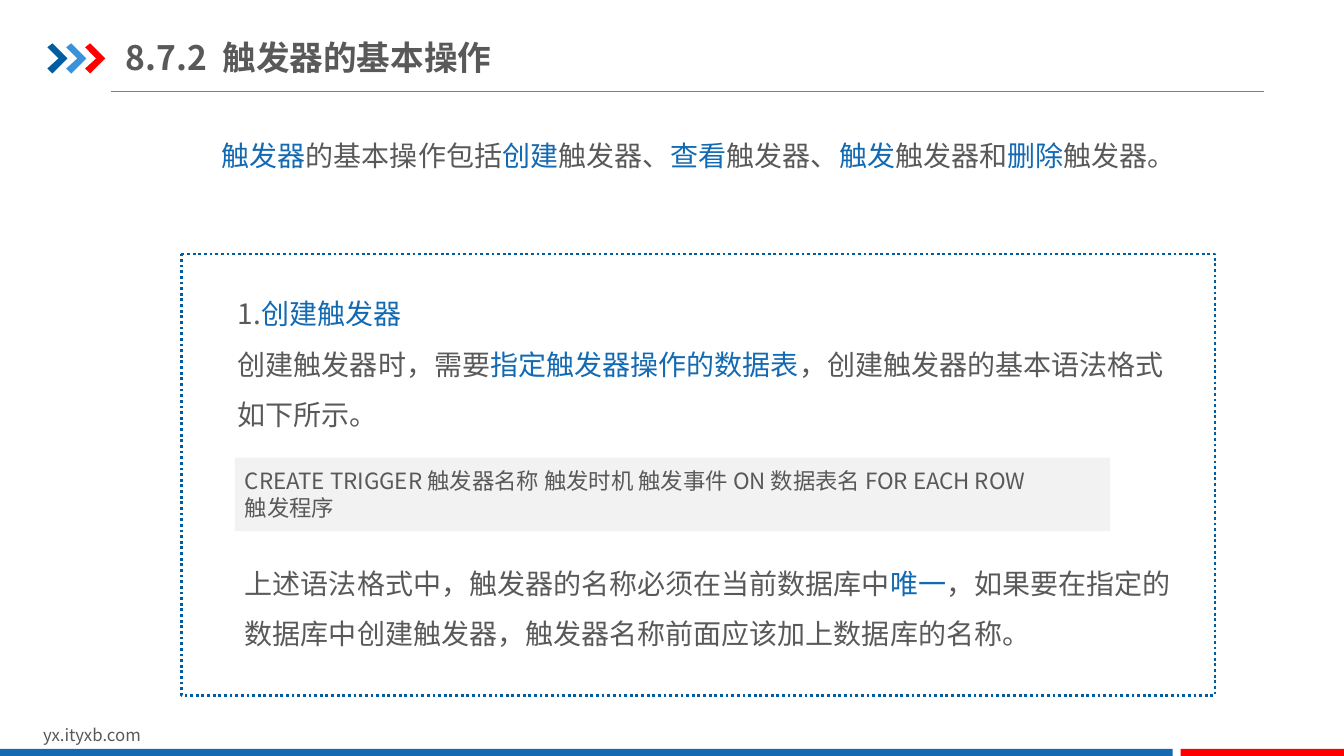
from lxml import etree
from pptx import Presentation
from pptx.dml.color import RGBColor
from pptx.enum.dml import MSO_LINE
from pptx.enum.shapes import MSO_CONNECTOR, MSO_SHAPE
from pptx.enum.text import MSO_ANCHOR, MSO_AUTO_SIZE, PP_ALIGN
from pptx.oxml.ns import qn
from pptx.util import Inches, Pt

FONT = "Noto Sans CJK SC"
COLORS = {
    "text": "595959",
    "blue": "1369B2",
    "deep_blue": "005DA2",
    "light_blue": "3992DB",
    "red": "FF0000",
    "rule": "808080",
    "code": "F2F2F2",
    "white": "FFFFFF",
}


def color(name):
    return RGBColor.from_string(COLORS[name])


def write(shape, lines, size, spacing=None, bold=None):
    """Fill a shape with lines; the parts between | marks are blue."""
    frame = shape.text_frame
    frame.word_wrap = True
    for number, line in enumerate(lines):
        paragraph = frame.add_paragraph() if number else frame.paragraphs[0]
        paragraph.alignment = PP_ALIGN.LEFT
        if spacing:
            paragraph.line_spacing = spacing
        for index, part in enumerate(line.split("|")):
            if not part:
                continue
            run = paragraph.add_run()
            run.text = part
            run.font.size = Pt(size)
            run.font.name = FONT
            run.font.bold = bold
            run.font.color.rgb = color("blue" if index % 2 else "text")
            east_asian = etree.Element(qn("a:ea"), typeface=FONT)
            run.font._element.find(qn("a:latin")).addnext(east_asian)


def add_text(slide, left, top, width, height, lines, size, spacing=None, bold=None):
    box = slide.shapes.add_textbox(
        Inches(left), Inches(top), Inches(width), Inches(height))
    write(box, lines, size, spacing, bold)
    return box


def add_box(slide, left, top, width, height, fill, kind=MSO_SHAPE.RECTANGLE):
    shape = slide.shapes.add_shape(
        kind, Inches(left), Inches(top), Inches(width), Inches(height))
    shape.shadow.inherit = False
    shape.fill.solid()
    shape.fill.fore_color.rgb = color(fill)
    shape.line.fill.background()
    return shape


def add_chevron(slide, left, fill):
    top = 0.43
    outline = [(0.05, 0), (0.2, 0.15), (0.05, 0.3), (0, 0.25), (0.11, 0.15)]
    builder = slide.shapes.build_freeform(
        Inches(left), Inches(top + 0.04), scale=1.0)
    builder.add_line_segments(
        [(Inches(left + x), Inches(top + y)) for x, y in outline], close=True)
    chevron = builder.convert_to_shape()
    chevron.shadow.inherit = False
    chevron.fill.solid()
    chevron.fill.fore_color.rgb = color(fill)
    chevron.line.fill.background()


def add_header(slide):
    rule = slide.shapes.add_connector(
        MSO_CONNECTOR.STRAIGHT, Inches(1.1), Inches(0.91), Inches(12.54), Inches(0.91))
    rule.line.color.rgb = color("rule")
    rule.line.width = Pt(0.75)
    etree.SubElement(rule._element.spPr, qn("a:effectLst"))

    for index, fill in enumerate(("deep_blue", "light_blue", "red")):
        add_chevron(slide, 0.47 + 0.187 * index, fill)

    title = add_text(slide, 1.25, 0.29, 4.26, 0.55,
                     ["8.7.2  触发器的基本操作"], 24, bold=True)
    frame = title.text_frame
    frame.vertical_anchor = MSO_ANCHOR.MIDDLE
    frame.margin_left = frame.margin_right = 0
    frame.margin_top = frame.margin_bottom = Inches(0.07)


def add_footer(slide):
    add_text(slide, 0.33, 7.14, 3.18, 0.3, ["yx.ityxb.com"], 12)
    add_box(slide, 0, 7.43, 11.63, 0.09, "blue")
    add_box(slide, 11.71, 7.43, 1.63, 0.09, "red")


def add_body_text(slide, left, top, width, height, lines):
    box = add_text(slide, left, top, width, height, lines, 20, spacing=1.5)
    box.text_frame.auto_size = MSO_AUTO_SIZE.SHAPE_TO_FIT_TEXT


def add_content(slide):
    panel = add_box(slide, 1.8, 2.52, 10.25, 4.38, "white",
                    MSO_SHAPE.FLOWCHART_PROCESS)
    panel.line.color.rgb = color("deep_blue")
    panel.line.width = Pt(2)
    panel.line.dash_style = MSO_LINE.ROUND_DOT

    add_body_text(slide, 2.1, 1.16, 9.48, 0.6, [
        "|触发器|的基本操作包括|创建|触发器、|查看|触发器、|触发|触发器和|删除|触发器。",
    ])
    add_body_text(slide, 2.26, 2.73, 9.65, 1.61, [
        "1.|创建触发器|",
        "创建触发器时，需要|指定触发器操作的数据表|，创建触发器的基本语法格式如下所示。",
    ])
    code = add_box(slide, 2.33, 4.54, 8.68, 0.73, "code")
    code.text_frame.vertical_anchor = MSO_ANCHOR.MIDDLE
    write(code, [
        "CREATE TRIGGER 触发器名称 触发时机 触发事件 ON 数据表名 FOR EACH ROW",
        "触发程序",
    ], 16)
    add_body_text(slide, 2.33, 5.4, 9.65, 1.11, [
        "上述语法格式中，触发器的名称必须在当前数据库中|唯一|，"
        "如果要在指定的数据库中创建触发器，触发器名称前面应该加上数据库的名称。",
    ])


def main():
    presentation = Presentation()
    presentation.slide_width = Inches(13.33)
    presentation.slide_height = Inches(7.5)
    slide = presentation.slides.add_slide(presentation.slide_layouts[6])
    add_header(slide)
    add_footer(slide)
    add_content(slide)
    presentation.save("out.pptx")


if __name__ == "__main__":
    main()
